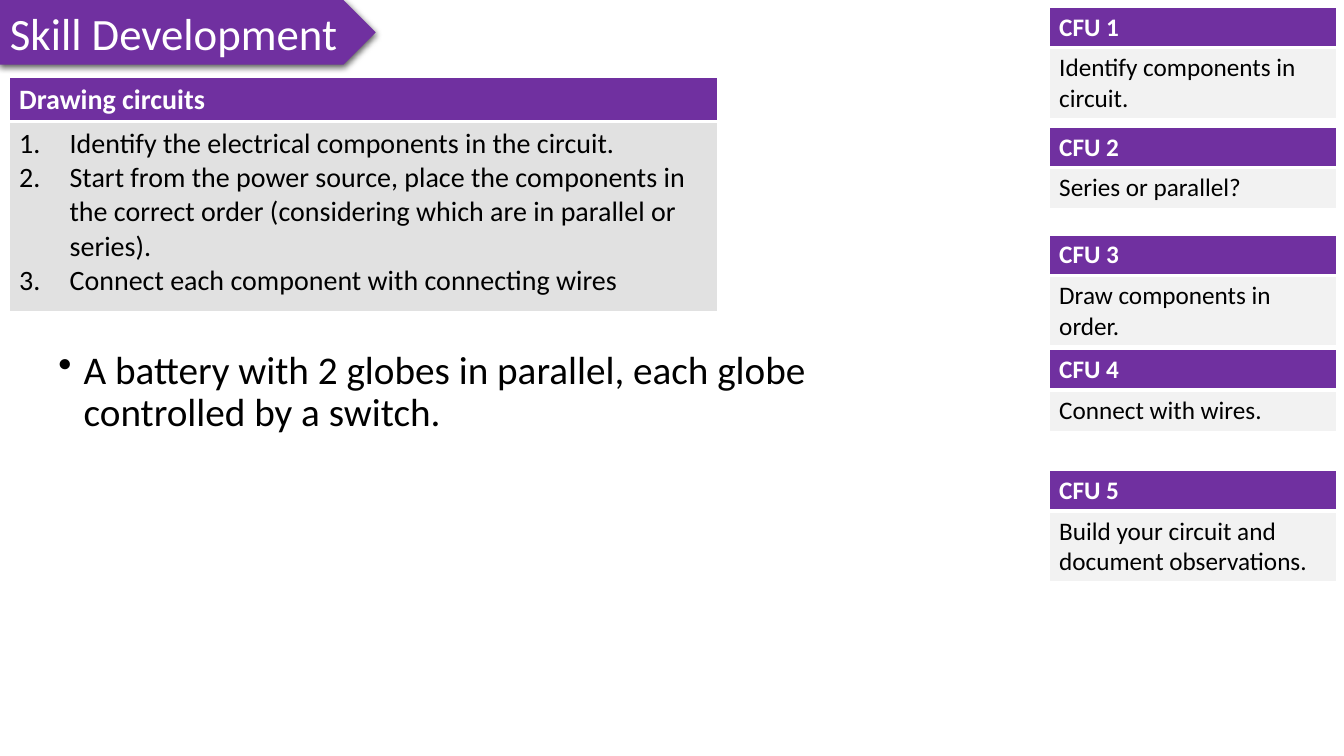
from dataclasses import dataclass

from pptx import Presentation
from pptx.dml.color import RGBColor
from pptx.enum.shapes import MSO_SHAPE as Shape
from pptx.enum.text import MSO_ANCHOR as Anchor, MSO_AUTO_SIZE as AutoSize, PP_ALIGN as Align
from pptx.oxml import parse_xml
from pptx.oxml.ns import nsdecls
from pptx.util import Cm, Pt


@dataclass(frozen=True)
class Theme:
    font: str = "Calibri"
    purple: str = "7030A0"
    white: str = "FFFFFF"
    black: str = "000000"
    steps_fill: str = "E1E1E1"
    check_fill: str = "F2F2F2"
    title: int = 32
    task: int = 28
    steps: int = 20
    check: int = 18


@dataclass(frozen=True)
class Panel:
    """A two-row table, a heading over a body; lengths in centimetres."""
    heading: str
    lines: tuple[str, ...]
    left: float
    top: float
    width: float
    heading_height: float
    body_height: float
    size: int
    fill: str
    numbered: bool = False


THEME = Theme()
NUMBER = '<a:buAutoNum {} type="arabicPeriod"/>'
BULLET = '<a:buChar {} char="•"/>'


def check_panel(number: int, text: str, top: float, body_height: float) -> Panel:
    return Panel(f"CFU {number}", (text,), 26.44, top, 7.24, 1.02, body_height,
                 THEME.check, THEME.check_fill)


PANELS = (
    Panel("Drawing circuits", (
        "Identify the electrical components in the circuit.",
        "Start from the power source, place the components in the correct order "
        "(considering which are in parallel or series).",
        "Connect each component with connecting wires",
    ), 0.23, 1.96, 17.86, 1.1, 4.78, THEME.steps, THEME.steps_fill, numbered=True),
    check_panel(1, "Identify components in circuit.", 0.18, 1.78),
    check_panel(2, "Series or parallel?", 3.2, 1.04),
    check_panel(3, "Draw components in order.", 5.92, 1.78),
    check_panel(4, "Connect with wires.", 8.81, 1.04),
    check_panel(5, "Build your circuit and document observations.", 11.86, 1.78),
)


def style(p, size: int, color: str, bold: bool = False) -> None:
    for r in p.runs:
        r.font.name = THEME.font
        r.font.size = Pt(size)
        r.font.bold = bold
        r.font.color.rgb = RGBColor.from_string(color)


def add_marker(p, marker: str, indent: float) -> None:
    """Give the paragraph a list marker and a hanging indent in centimetres."""
    pPr = p._p.get_or_add_pPr()
    pPr.set("marL", str(Cm(indent)))
    pPr.set("indent", str(-Cm(indent)))
    pPr.append(parse_xml(marker.format(nsdecls("a"))))


def set_cell(cell, lines: tuple[str, ...], size: int, color: str, fill: str,
             top: int, bottom: int, bold: bool = False, numbered: bool = False) -> None:
    """Fill a cell; top and bottom are border widths in points."""
    tcPr = cell._tc.get_or_add_tcPr()
    for side, width in (("L", 1), ("R", 1), ("T", top), ("B", bottom)):
        tcPr.append(parse_xml(
            f'<a:ln{side} {nsdecls("a")} w="{Pt(width)}"><a:solidFill>'
            f'<a:srgbClr val="{THEME.white}"/></a:solidFill></a:ln{side}>'))
    cell.fill.solid()
    cell.fill.fore_color.rgb = RGBColor.from_string(fill)
    cell.text_frame.text = "\n".join(lines)
    for p in cell.text_frame.paragraphs:
        if numbered:
            add_marker(p, NUMBER, 1.27)
        style(p, size, color, bold)


def add_panel(slide, panel: Panel) -> None:
    table = slide.shapes.add_table(
        2, 1, Cm(panel.left), Cm(panel.top), Cm(panel.width),
        Cm(panel.heading_height + panel.body_height)).table
    table.horz_banding = False
    table.rows[0].height = Cm(panel.heading_height)
    table.rows[1].height = Cm(panel.body_height)
    set_cell(table.cell(0, 0), (panel.heading,), panel.size, THEME.white, THEME.purple,
             top=1, bottom=3, bold=True)
    set_cell(table.cell(1, 0), panel.lines, panel.size, THEME.black, panel.fill,
             top=3, bottom=1, numbered=panel.numbered)


def add_title(slide, text: str) -> None:
    sp = slide.shapes.add_shape(Shape.PENTAGON, 0, 0, Cm(9.47), Cm(1.63))
    sp.fill.solid()
    sp.fill.fore_color.rgb = RGBColor.from_string(THEME.purple)
    sp.line.fill.background()
    sp.shadow.inherit = False
    sp._element.spPr.find("{*}effectLst").append(parse_xml(
        f'<a:outerShdw {nsdecls("a")} blurRad="{Pt(4.5)}" dist="{Pt(1.5)}" dir="5400000" '
        f'rotWithShape="0"><a:srgbClr val="{THEME.black}"><a:alpha val="63000"/>'
        '</a:srgbClr></a:outerShdw>'))
    tf = sp.text_frame
    tf.text = text
    tf.word_wrap = False
    tf.auto_size = AutoSize.SHAPE_TO_FIT_TEXT
    tf.vertical_anchor = Anchor.MIDDLE
    p = tf.paragraphs[0]
    p.alignment = Align.LEFT
    style(p, THEME.title, THEME.white)


def add_task(slide, text: str) -> None:
    tf = slide.shapes.add_textbox(Cm(1.22), Cm(8.71), Cm(22.2), Cm(2.77)).text_frame
    tf.word_wrap = True
    tf.text = text
    p = tf.paragraphs[0]
    add_marker(p, BULLET, 0.64)
    p.line_spacing = 0.9
    style(p, THEME.task, THEME.black)


def main() -> None:
    prs = Presentation()
    prs.slide_width, prs.slide_height = Cm(33.87), Cm(19.05)
    slide = prs.slides.add_slide(prs.slide_layouts[6])
    add_title(slide, "Skill Development")
    add_task(slide, "A battery with 2 globes in parallel, each globe controlled by a switch.")
    for panel in PANELS:
        add_panel(slide, panel)
    prs.save("out.pptx")


if __name__ == "__main__":
    main()
